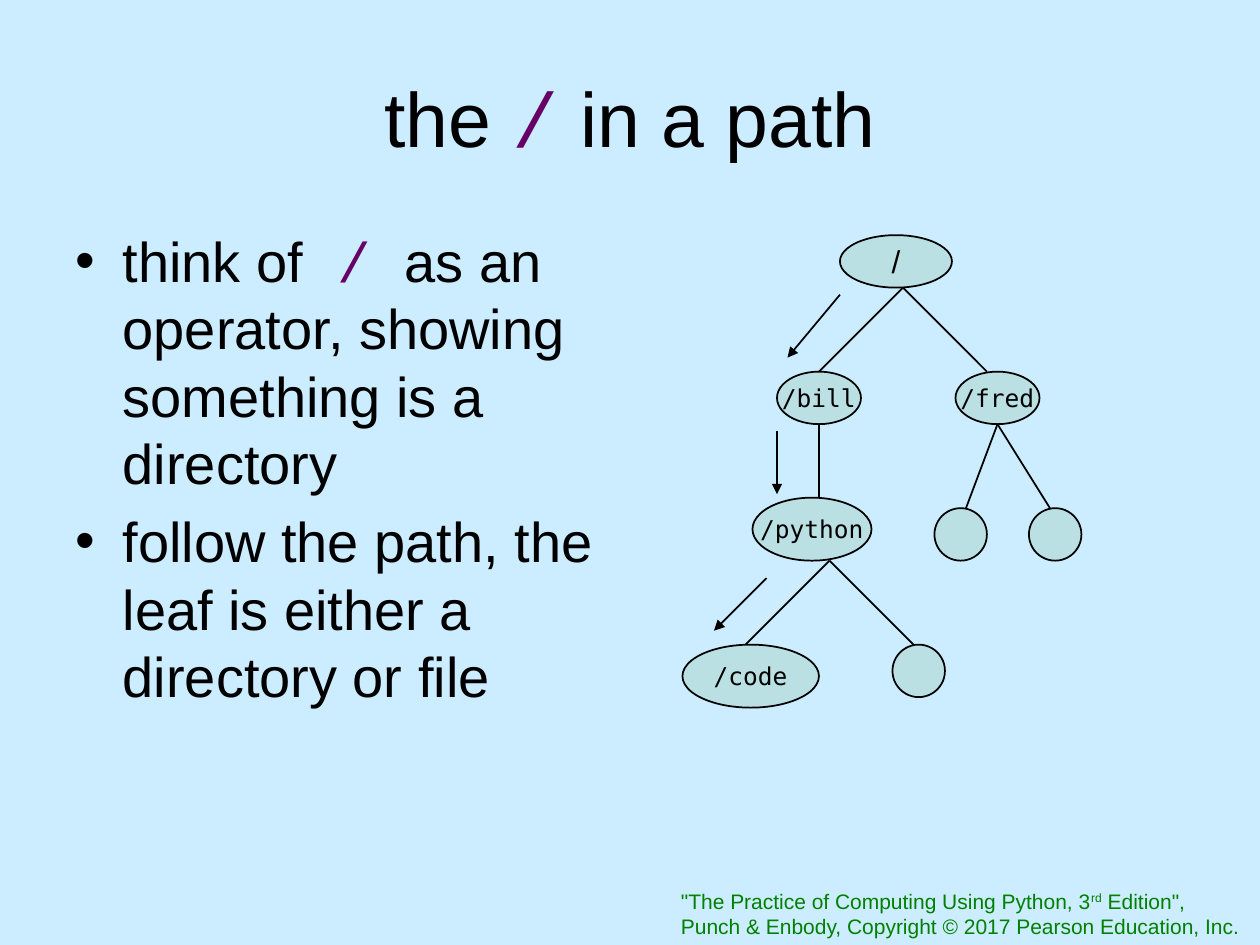
from dataclasses import dataclass

from lxml import etree
from pptx import Presentation
from pptx.dml.color import RGBColor
from pptx.enum.shapes import MSO_CONNECTOR, MSO_SHAPE
from pptx.enum.text import MSO_ANCHOR, PP_ALIGN
from pptx.oxml.ns import qn
from pptx.util import Pt

STRAIGHT = MSO_CONNECTOR.STRAIGHT
ELLIPSE = MSO_SHAPE.OVAL
MIDDLE = MSO_ANCHOR.MIDDLE
CENTER = PP_ALIGN.CENTER


@dataclass(frozen=True)
class Theme:
    background = RGBColor(0xCC, 0xEC, 0xFF)
    ink = RGBColor(0, 0, 0)
    operator = RGBColor(0x66, 0x00, 0x66)
    node = RGBColor(0xBB, 0xE0, 0xE3)
    credit = RGBColor(0x00, 0x80, 0x00)
    sans = "Arial"
    code = "Courier New"
    mono = "DejaVu Sans Mono"
    title_size = 44
    body_size = 32
    root_size = 18
    node_size = 14
    credit_size = 12
    line_width = 1


THEME = Theme()

# Node: left, top, width, height, label
NODES = [
    (90, 0, 64, 30, "/"),
    (54, 78, 48, 30, "/bill"),
    (156, 78, 48, 30, "/fred"),
    (40, 150, 68, 36, "/python"),
    (144, 156, 30, 30, ""),
    (198, 156, 30, 30, ""),
    (0, 234, 78, 36, "/code"),
    (120, 234, 30, 30, ""),
]
# Branch: parent point, then the child points
BRANCHES = [
    ((126, 30), [(78, 78), (174, 78)]),
    ((78, 108), [(78, 150)]),
    ((180, 108), [(162, 156), (210, 156)]),
    ((84, 186), [(36, 234), (132, 234)]),
]
PATH_ARROWS = [
    ((90, 34), (60, 70)),
    ((54, 112), (54, 148)),
    ((48, 196), (18, 226)),
]


def style(r, size, color=THEME.ink, font=THEME.sans):
    r.font.size = Pt(size)
    r.font.color.rgb = color
    r.font.name = font


def add_runs(p, texts, size, color=THEME.ink):
    """Add runs to p, setting a run that holds only the slash as code."""
    for text in texts:
        r = p.add_run()
        r.text = text
        if text.strip() == "/":
            style(r, size, THEME.operator, THEME.code)
        else:
            style(r, size, color)


def add_text_box(s, left, top, width, height):
    tf = s.shapes.add_textbox(Pt(left), Pt(top), Pt(width), Pt(height)).text_frame
    tf.word_wrap = True
    return tf


def place_title(s, left, top, width, height):
    title = s.shapes.title
    title.left, title.top, title.width, title.height = map(Pt, (left, top, width, height))
    tf = title.text_frame
    tf.vertical_anchor = MIDDLE
    p = tf.paragraphs[0]
    p.alignment = CENTER
    add_runs(p, ["the ", "/", " in a path"], THEME.title_size)


def add_bullets(s, left, top, width, height):
    tf = add_text_box(s, left, top, width, height)
    items = [
        ["think of", " / ", "as an operator, showing something is a directory"],
        ["follow the path, the leaf is either a directory or file"],
    ]
    for i, texts in enumerate(items):
        p = tf.add_paragraph() if i else tf.paragraphs[0]
        pPr = p._p.get_or_add_pPr()
        pPr.set("marL", str(Pt(27)))
        pPr.set("indent", str(Pt(-27)))
        etree.SubElement(pPr, qn("a:buFont"), typeface=THEME.sans)
        etree.SubElement(pPr, qn("a:buChar"), char="•")
        if i:
            p.space_before = Pt(6.4)
        add_runs(p, texts, THEME.body_size)


def add_node(s, left, top, width, height, label):
    sp = s.shapes.add_shape(ELLIPSE, Pt(left), Pt(top), Pt(width), Pt(height))
    sp.shadow.inherit = False
    sp.fill.solid()
    sp.fill.fore_color.rgb = THEME.node
    sp.line.color.rgb = THEME.ink
    sp.line.width = Pt(THEME.line_width)
    if label:
        tf = sp.text_frame
        tf.text = label
        tf.word_wrap = False
        tf.vertical_anchor = MIDDLE
        p = tf.paragraphs[0]
        p.alignment = CENTER
        if label == "/":
            style(p.runs[0], THEME.root_size)
        else:
            style(p.runs[0], THEME.node_size, font=THEME.mono)


def add_line(s, left, top, start, end, arrow=False):
    """Join two points given relative to left and top."""
    (x1, y1), (x2, y2) = start, end
    line = s.shapes.add_connector(
        STRAIGHT, Pt(left + x1), Pt(top + y1), Pt(left + x2), Pt(top + y2))
    line.line.color.rgb = THEME.ink
    line.line.width = Pt(THEME.line_width)
    if arrow:
        etree.SubElement(line.line._get_or_add_ln(), qn("a:tailEnd"), type="triangle")
    etree.SubElement(line._element.spPr, qn("a:effectLst"))


def add_directory_tree(s, left, top):
    for parent, children in BRANCHES:
        for child in children:
            add_line(s, left, top, parent, child)
    for x, y, width, height, label in NODES:
        add_node(s, left + x, top + y, width, height, label)
    for start, end in PATH_ARROWS:
        add_line(s, left, top, start, end, arrow=True)


def add_credit(s, left, top, width, height):
    tf = add_text_box(s, left, top, width, height)
    tf.word_wrap = False
    p = tf.paragraphs[0]
    add_runs(p, ['"The Practice of Computing Using Python, 3', "rd", ' Edition",'],
             THEME.credit_size, THEME.credit)
    p.runs[1].font._element.set("baseline", "30000")
    add_runs(tf.add_paragraph(),
             ["Punch & Enbody, Copyright © 2017 Pearson Education, Inc."],
             THEME.credit_size, THEME.credit)


def main():
    prs = Presentation()
    prs.slide_width, prs.slide_height = Pt(720), Pt(540)
    s = prs.slides.add_slide(prs.slide_layouts[5])
    s.background.fill.solid()
    s.background.fill.fore_color.rgb = THEME.background
    place_title(s, 36, 21.6, 648, 90)
    add_bullets(s, 36, 126, 336, 356)
    add_directory_tree(s, 390, 134.4)
    add_credit(s, 382, 504, 337, 36)
    prs.save("out.pptx")


if __name__ == "__main__":
    main()
